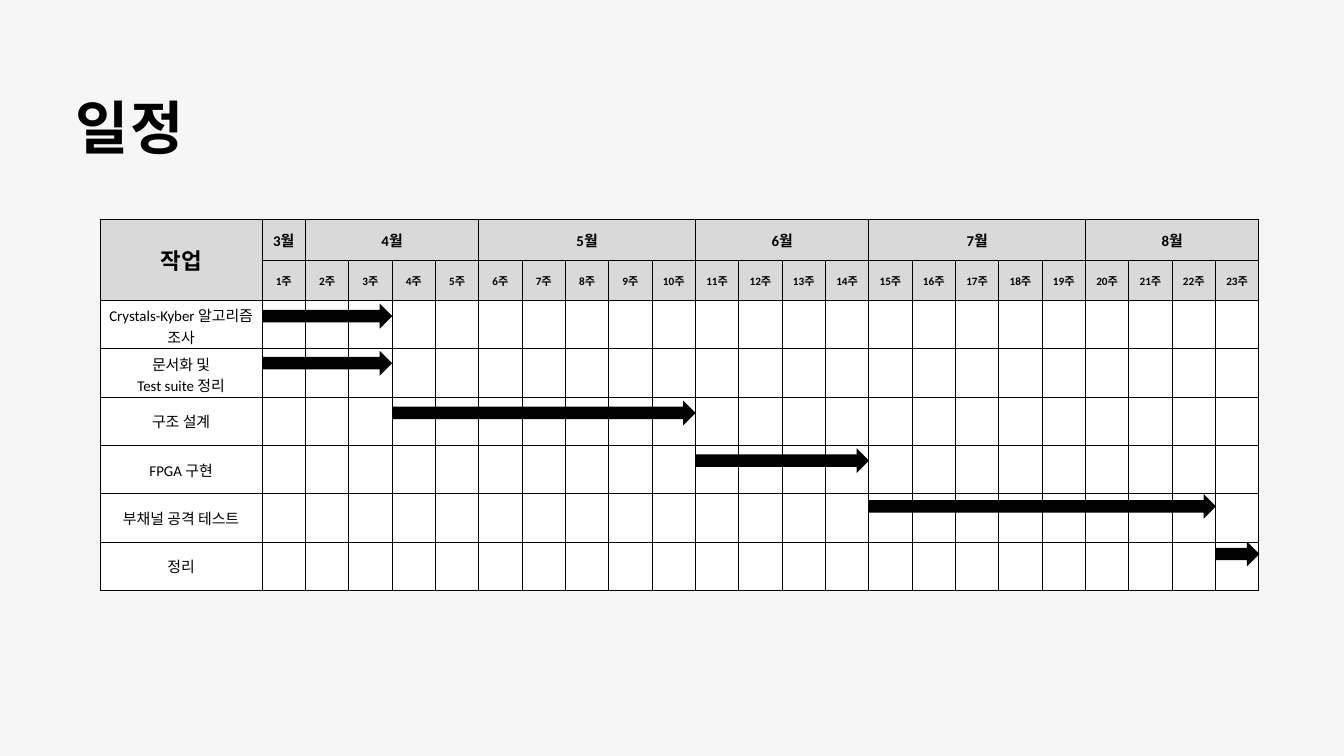
from itertools import accumulate

from lxml import etree
from pptx import Presentation
from pptx import util as u
from pptx.dml.color import RGBColor
from pptx.enum import shapes, text
from pptx.oxml.ns import qn

COLORS = {"background": "F6F6F6", "header": "D9D9D9", "body": "FFFFFF", "ink": "000000"}

# Schedule content
MONTHS = [("3월", 1), ("4월", 4), ("5월", 5), ("6월", 4), ("7월", 5), ("8월", 4)]
WEEKS = sum(weeks for _, weeks in MONTHS)
TASKS = [  # name, first week, last week, arrow top
    ("Crystals-Kyber 알고리즘 조사", 1, 3, 4.52),
    ("문서화 및\nTest suite 정리", 1, 3, 5.22),
    ("구조 설계", 4, 10, 5.96),
    ("FPGA 구현", 11, 14, 6.67),
    ("부채널 공격 테스트", 15, 22, 7.35),
    ("정리", 23, 23, 8.06),
]

# Grid
LEFT, TOP, WIDTH = 1.49, 3.27, 17.25
TASK_WIDTH = 2.41
WEEK_WIDTH = (WIDTH - TASK_WIDTH) / WEEKS
HEADER_HEIGHT, TASK_HEIGHT, ARROW_HEIGHT = 0.6, 0.72, 0.37
HEADER_ROWS = 2


class ScheduleSlide:
    font = "Calibri"
    inset = u.Inches(0.06)

    def __init__(self, prs):
        self.slide = prs.slides.add_slide(prs.slide_layouts[5])
        self.paint(self.slide.background.fill, "background")

    def paint(self, fill, color):
        fill.solid()
        fill.fore_color.rgb = RGBColor.from_string(COLORS[color])

    def style(self, frame, size, bold, align):
        for paragraph in frame.paragraphs:
            paragraph.alignment = align
            font = paragraph.font
            font.name, font.size, font.bold = self.font, u.Pt(size), bold
            font.color.rgb = RGBColor.from_string(COLORS["ink"])

    def title(self, words, left, top, width, height):
        heading = self.slide.shapes.title
        heading.left, heading.top = u.Inches(left), u.Inches(top)
        heading.width, heading.height = u.Inches(width), u.Inches(height)
        frame = heading.text_frame
        frame.text = words
        frame.word_wrap = True
        frame.auto_size = text.MSO_AUTO_SIZE.SHAPE_TO_FIT_TEXT
        frame.vertical_anchor = text.MSO_ANCHOR.TOP
        frame.margin_left = frame.margin_right = frame.margin_top = frame.margin_bottom = 0
        self.style(frame, 62, True, text.PP_ALIGN.LEFT)
        paragraph = frame.paragraphs[0]
        paragraph.line_spacing = u.Pt(86.9)
        paragraph.runs[0].font._element.set("spc", "220")

    def table(self, rows, columns, left, top, width, height):
        grid = self.slide.shapes.add_table(
            rows, columns, u.Inches(left), u.Inches(top), u.Inches(width), u.Inches(height)
        ).table
        grid.first_row = grid.horz_banding = False
        return grid

    def cell(self, cell, color):
        properties = cell._tc.get_or_add_tcPr()
        for side in ("a:lnL", "a:lnR", "a:lnT", "a:lnB"):
            line = etree.SubElement(properties, qn(side), w=str(u.Pt(1)))
            solid = etree.SubElement(line, qn("a:solidFill"))
            etree.SubElement(solid, qn("a:srgbClr"), val=COLORS["ink"])
        self.paint(cell.fill, color)

    def label(self, cell, words, size, bold):
        cell.text = words
        cell.vertical_anchor = text.MSO_ANCHOR.MIDDLE
        cell.margin_left = cell.margin_right = self.inset
        cell.margin_top = cell.margin_bottom = self.inset
        self.style(cell.text_frame, size, bold, text.PP_ALIGN.CENTER)

    def arrow(self, first, last, top):
        left = LEFT + TASK_WIDTH + (first - 1) * WEEK_WIDTH
        bar = self.slide.shapes.add_shape(
            shapes.MSO_SHAPE.RIGHT_ARROW, u.Inches(left), u.Inches(top),
            u.Inches((last - first + 1) * WEEK_WIDTH), u.Inches(ARROW_HEIGHT))
        bar.shadow.inherit = False
        self.paint(bar.fill, "ink")
        bar.line.fill.background()


def main():
    prs = Presentation()
    prs.slide_width, prs.slide_height = u.Inches(20), u.Inches(11.25)
    page = ScheduleSlide(prs)
    page.title("일정", 1.12, 1.19, 10.25, 1.16)

    # Table frame
    heights = [HEADER_HEIGHT] * HEADER_ROWS + [TASK_HEIGHT] * len(TASKS)
    schedule = page.table(len(heights), WEEKS + 1, LEFT, TOP, WIDTH, sum(heights))
    for column, width in zip(schedule.columns, [TASK_WIDTH] + [WEEK_WIDTH] * WEEKS):
        column.width = u.Inches(width)
    for index, height in enumerate(heights):
        schedule.rows[index].height = u.Inches(height)
        for cell in schedule.rows[index].cells:
            page.cell(cell, "header" if index < HEADER_ROWS else "body")

    # Header: task, months and weeks
    schedule.cell(0, 0).merge(schedule.cell(1, 0))
    page.label(schedule.cell(0, 0), "작업", 24, True)
    ends = accumulate(weeks for _, weeks in MONTHS)
    for (month, weeks), end in zip(MONTHS, ends):
        first = schedule.cell(0, end - weeks + 1)
        if weeks > 1:
            first.merge(schedule.cell(0, end))
        page.label(first, month, 16, True)
    for week in range(1, WEEKS + 1):
        page.label(schedule.cell(1, week), f"{week}주", 12, True)

    # Tasks and their time bars
    for row, (task, first, last, top) in enumerate(TASKS, HEADER_ROWS):
        page.label(schedule.cell(row, 0), task, 16, False)
        page.arrow(first, last, top)

    prs.save("out.pptx")


if __name__ == "__main__":
    main()
